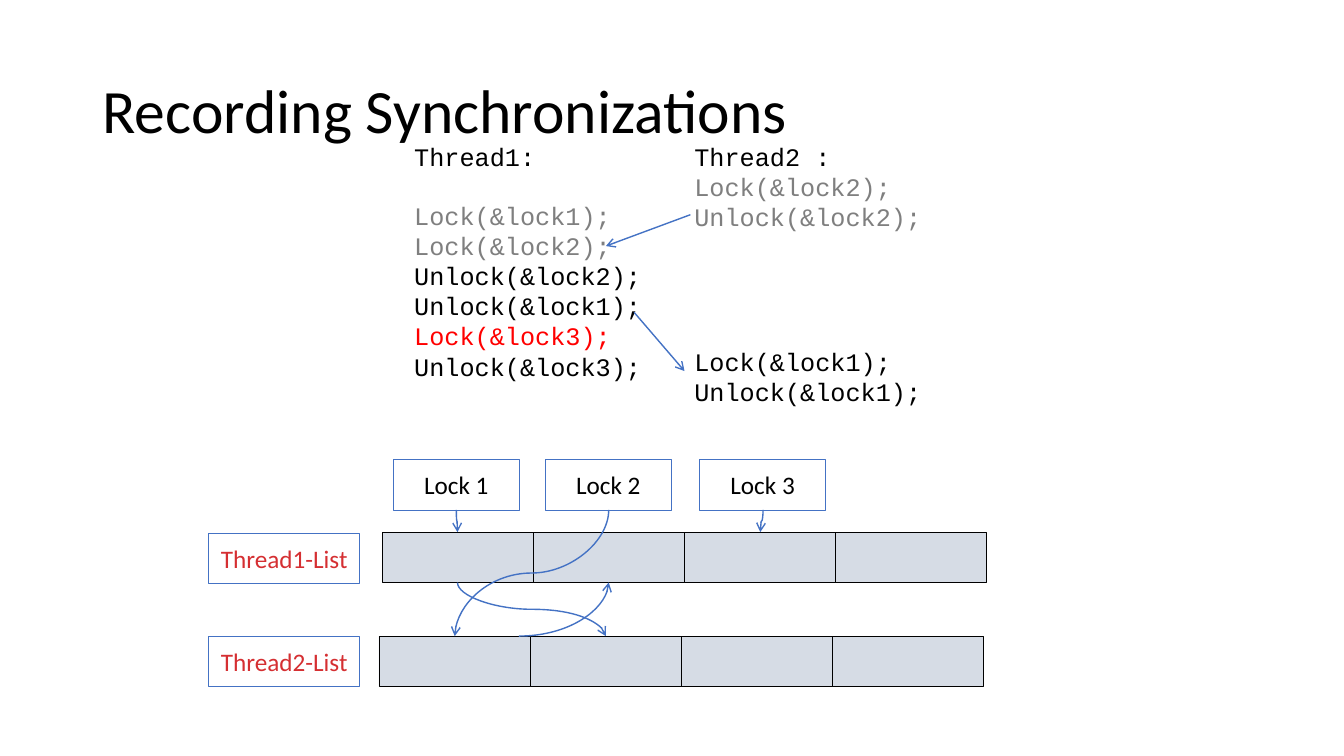
"""Build the slide on recording lock synchronizations between two threads."""
from dataclasses import dataclass

from lxml import etree
from pptx import Presentation
from pptx import util as u
from pptx.dml.color import RGBColor
from pptx.enum import shapes, text
from pptx.oxml.ns import qn


@dataclass(frozen=True)
class Theme:
    body_font: str = "Calibri"
    code_font: str = "Courier New"
    title_size: float = 44
    text_size: float = 18
    code_line: float = 20.4
    ink: str = "000000"
    done: str = "7F7F7F"
    current: str = "FF0000"
    accent: str = "4472C4"
    list_name: str = "D52F32"
    cell: str = "D6DCE5"
    outline: float = 0.5
    arrow: float = 1


@dataclass(frozen=True)
class CodeLine:
    words: str
    colour: str
    skipped: int = 0


@dataclass(frozen=True)
class ThreadCode:
    left: float
    height: float
    lines: tuple[CodeLine, ...]


@dataclass(frozen=True)
class ThreadList:
    name: str
    label_top: float
    cells_left: float
    cells_top: float


@dataclass(frozen=True)
class Arrow:
    start: tuple[float, float]
    end: tuple[float, float]
    route: str


THEME = Theme()
BOX_HEIGHT = 1.27
CELL_WIDTH = 3.81
CELLS_PER_LIST = 4
LOCK_WIDTH = 3.18
LOCK_TOP = 11.58
CODE_TOP = 3.43
CODE_WIDTH = 6.27

THREADS = (
    ThreadCode(10.19, 7.19, (
        CodeLine("Thread1:", THEME.ink),
        CodeLine("Lock(&lock1);", THEME.done, skipped=1),
        CodeLine("Lock(&lock2);", THEME.done),
        CodeLine("Unlock(&lock2);", THEME.ink),
        CodeLine("Unlock(&lock1);", THEME.ink),
        CodeLine("Lock(&lock3);", THEME.current),
        CodeLine("Unlock(&lock3);", THEME.ink),
    )),
    ThreadCode(17.25, 7.95, (
        CodeLine("Thread2 :", THEME.ink),
        CodeLine("Lock(&lock2);", THEME.done),
        CodeLine("Unlock(&lock2);", THEME.done),
        CodeLine("Lock(&lock1);", THEME.ink, skipped=4),
        CodeLine("Unlock(&lock1);", THEME.ink),
    )),
)
LISTS = (
    ThreadList("Thread1-List", 13.44, 9.63, 13.41),
    ThreadList("Thread2-List", 16.03, 9.55, 16.03),
)
LOCKS = (("Lock 1", 9.91), ("Lock 2", 13.74), ("Lock 3", 17.63))
ARROWS = (
    Arrow((17.4, 5.41), (15.27, 6.2), "straight"),
    Arrow((15.98, 7.87), (17.25, 9.35), "straight"),
    Arrow((11.5, 12.85), (11.53, 13.41), "downward"),
    Arrow((15.34, 12.85), (11.46, 16.03), "downward"),
    Arrow((13.08, 16.03), (15.34, 14.68), "quarter"),
    Arrow((19.23, 12.85), (19.16, 13.41), "downward"),
    Arrow((11.53, 14.68), (15.27, 16.03), "downward"),
)


def write(paragraph, words: str, *, font: str = THEME.body_font,
          size: float = THEME.text_size, colour: str = THEME.ink,
          align=text.PP_ALIGN.LEFT, before: float = 0, spacing: float = 1) -> None:
    """Put formatted words into a paragraph."""
    paragraph.alignment = align
    paragraph.space_before = u.Pt(before)
    paragraph.line_spacing = spacing
    run = paragraph.add_run()
    run.text = words
    run.font.name = font
    run.font.size = u.Pt(size)
    run.font.color.rgb = RGBColor.from_string(colour)


def add_title(slide, words: str) -> None:
    """Move and fill the title placeholder."""
    title = slide.shapes.title
    title.left, title.top = u.Cm(2.33), u.Cm(1.01)
    title.width, title.height = u.Cm(29.21), u.Cm(3.68)
    title.text_frame.auto_size = text.MSO_AUTO_SIZE.NONE
    title.text_frame.vertical_anchor = text.MSO_ANCHOR.MIDDLE
    write(title.text_frame.paragraphs[0], words, size=THEME.title_size, spacing=0.9)


def add_code(slide, thread: ThreadCode) -> None:
    """Draw the code of one thread, leaving room for skipped steps."""
    frame = slide.shapes.add_textbox(
        u.Cm(thread.left), u.Cm(CODE_TOP), u.Cm(CODE_WIDTH), u.Cm(thread.height)).text_frame
    frame.word_wrap = False
    frame.auto_size = text.MSO_AUTO_SIZE.SHAPE_TO_FIT_TEXT
    for index, line in enumerate(thread.lines):
        paragraph = frame.add_paragraph() if index else frame.paragraphs[0]
        write(paragraph, line.words, font=THEME.code_font, colour=line.colour,
              before=line.skipped * THEME.code_line)


def add_box(slide, left: float, top: float, width: float, *, outline: str = THEME.accent,
            fill: str = "", words: str = "", colour: str = THEME.ink) -> None:
    """Draw an outlined box with an optional fill and centred label."""
    box = slide.shapes.add_shape(shapes.MSO_SHAPE.RECTANGLE, u.Cm(left), u.Cm(top),
                                 u.Cm(width), u.Cm(BOX_HEIGHT))
    box.shadow.inherit = False
    box.line.color.rgb = RGBColor.from_string(outline)
    box.line.width = u.Pt(THEME.outline)
    if fill:
        box.fill.solid()
        box.fill.fore_color.rgb = RGBColor.from_string(fill)
    else:
        box.fill.background()
    if words:
        box.text_frame.vertical_anchor = text.MSO_ANCHOR.MIDDLE
        write(box.text_frame.paragraphs[0], words, colour=colour,
              align=text.PP_ALIGN.CENTER)


def add_arrow(slide, arrow: Arrow) -> None:
    """Draw an arrow; a downward curve is a sideways one turned about its centre."""
    (x1, y1), (x2, y2) = arrow.start, arrow.end
    downward = arrow.route == "downward"
    rightward = x2 > x1
    if downward:
        middle_x, middle_y = (x1 + x2) / 2, (y1 + y2) / 2
        half_x, half_y = (y2 - y1) / 2, abs(x2 - x1) / 2
        x1, x2 = middle_x - half_x, middle_x + half_x
        y1, y2 = middle_y - half_y, middle_y + half_y
    kinds = shapes.MSO_CONNECTOR
    kind = kinds.STRAIGHT if arrow.route == "straight" else kinds.CURVE
    connector = slide.shapes.add_connector(kind, u.Cm(x1), u.Cm(y1), u.Cm(x2), u.Cm(y2))
    connector.line.color.rgb = RGBColor.from_string(THEME.accent)
    connector.line.width = u.Pt(THEME.arrow)
    properties = connector._element.spPr
    etree.SubElement(properties.find(qn("a:ln")), qn("a:tailEnd"), type="arrow")
    etree.SubElement(properties, qn("a:effectLst"))
    if downward:
        frame = properties.find(qn("a:xfrm"))
        frame.set("rot", str((270 if rightward else 90) * 60000))
        if rightward:
            frame.set("flipH", "1")
    elif arrow.route == "quarter":
        properties.find(qn("a:prstGeom")).set("prst", "curvedConnector2")


def main() -> None:
    """Assemble and save the slide."""
    deck = Presentation()
    deck.slide_width, deck.slide_height = u.Cm(33.87), u.Cm(19.05)
    slide = deck.slides.add_slide(deck.slide_layouts.get_by_name("Title Only"))
    add_title(slide, "Recording Synchronizations")
    for thread in THREADS:
        add_code(slide, thread)
    for row in LISTS:
        add_box(slide, 5.26, row.label_top, CELL_WIDTH, words=row.name, colour=THEME.list_name)
        for column in range(CELLS_PER_LIST):
            add_box(slide, row.cells_left + column * CELL_WIDTH, row.cells_top, CELL_WIDTH,
                    outline=THEME.ink, fill=THEME.cell)
    for name, left in LOCKS:
        add_box(slide, left, LOCK_TOP, LOCK_WIDTH, words=name)
    for arrow in ARROWS:
        add_arrow(slide, arrow)
    deck.save("out.pptx")


if __name__ == "__main__":
    main()
